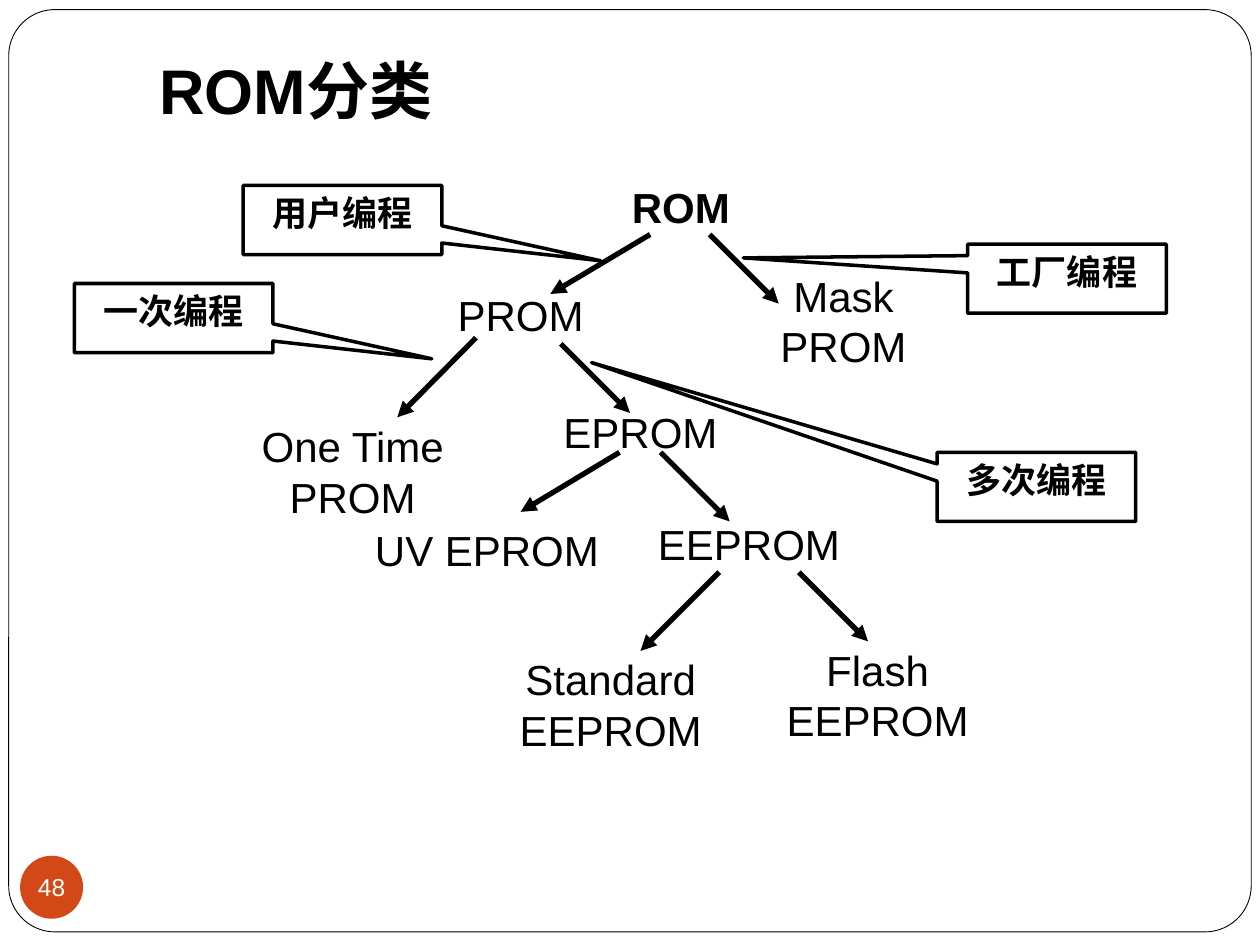
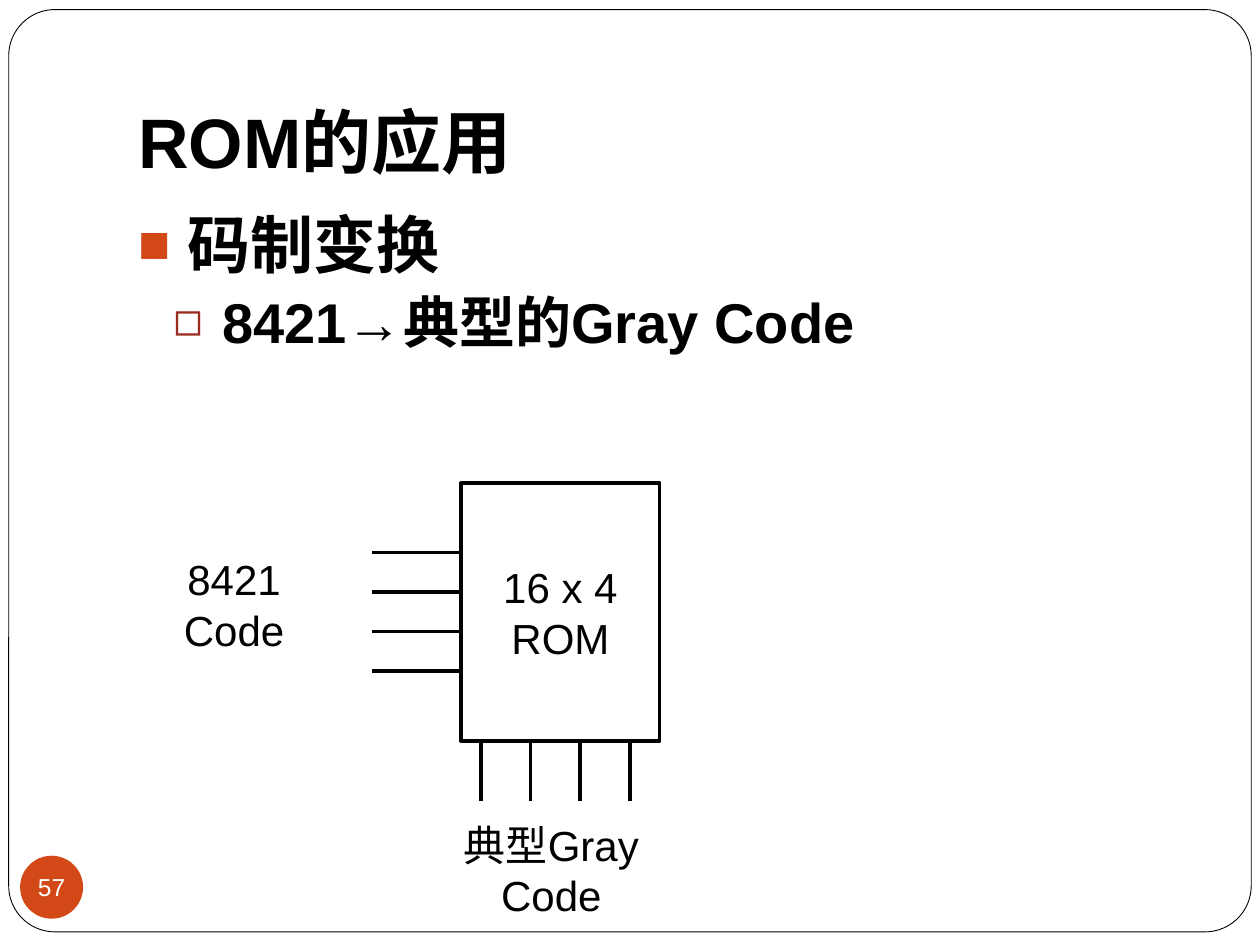
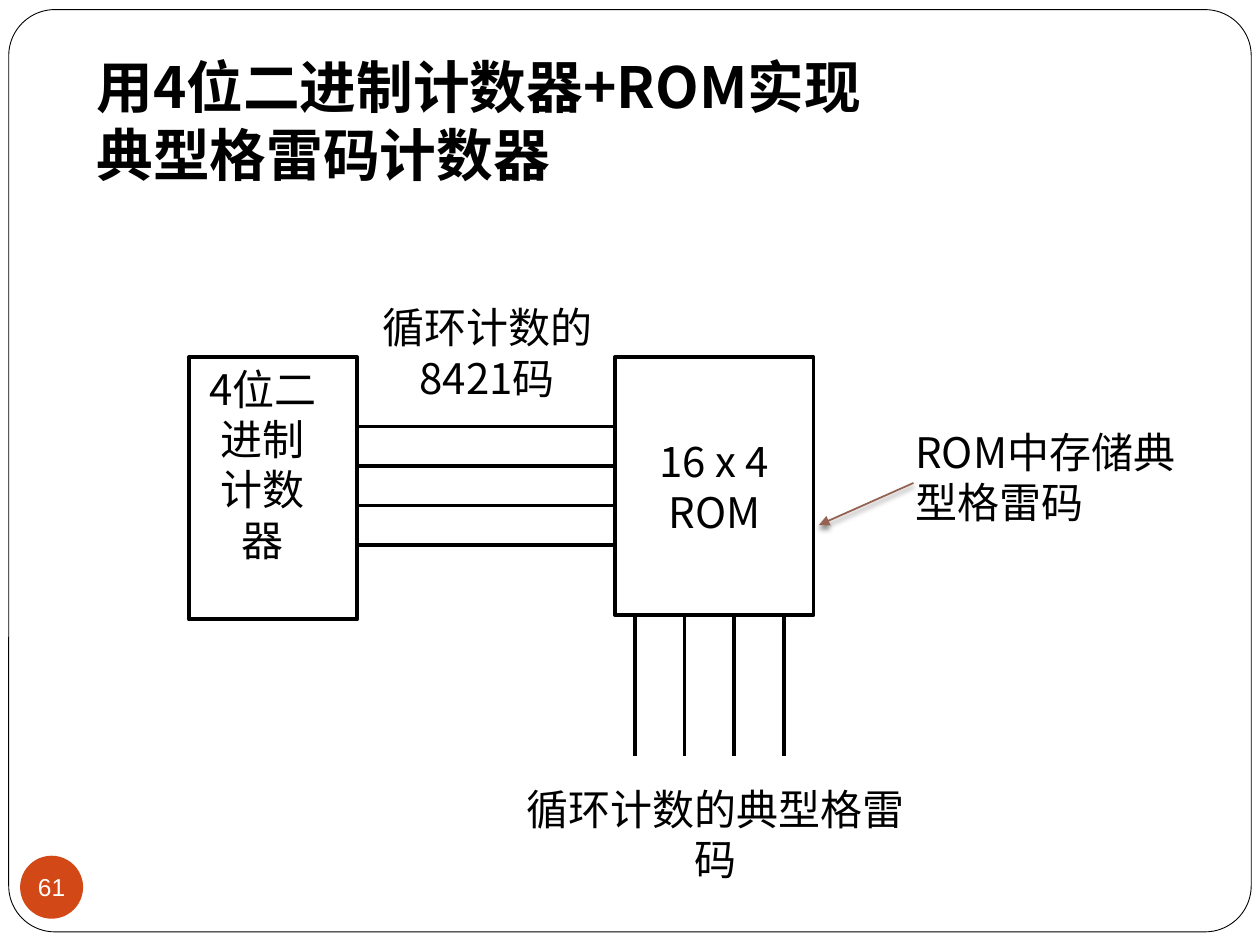
from dataclasses import dataclass
from typing import NamedTuple

from lxml.etree import SubElement as Sub
from pptx import Presentation
from pptx.dml.color import RGBColor
from pptx.enum.shapes import MSO_CONNECTOR as Link, MSO_SHAPE as Kind
from pptx.enum.text import MSO_ANCHOR as Anchor, PP_ALIGN as Align
from pptx.oxml.ns import qn
from pptx.util import Pt

BLACK = RGBColor(0x00, 0x00, 0x00)
WHITE = RGBColor(0xFF, 0xFF, 0xFF)
RUST = RGBColor(0xD3, 0x48, 0x17)
BRICK = RGBColor(0x9B, 0x2D, 0x1F)
CLAY = RGBColor(0x95, 0x62, 0x51)

LATIN = "Arial"
HAN = "Noto Sans CJK JP"
LEAD = 1.2
PINS = 4
CHIP_W, CHIP_H = 113.5, 147.5
CALL_W, CALL_H = 113.5, 39.5


class Box(NamedTuple):
    """Left, top, width and height in points."""
    x: float
    y: float
    w: float
    h: float


class Line(NamedTuple):
    """Start and end of a line in points."""
    x1: float
    y1: float
    x2: float
    y2: float


@dataclass(frozen=True)
class Style:
    """Look of a text."""
    size: float = 24
    bold: bool = False
    face: str = LATIN
    color: RGBColor = BLACK
    align: Align = Align.CENTER
    anchor: Anchor = Anchor.TOP
    wrap: bool = True
    inset: tuple = (7.2, 3.6, 7.2, 3.6)


@dataclass(frozen=True)
class Label:
    """Text at a place."""
    text: str
    box: Box
    style: Style = Style()


@dataclass(frozen=True)
class Call:
    """Callout with its pointer."""
    text: str
    x: float
    y: float
    tip: tuple


@dataclass(frozen=True)
class Item:
    """Bullet line of a list."""
    text: str
    size: float
    mark: str
    color: RGBColor
    left: float
    before: float


HEAD = dict(bold=True, align=Align.LEFT)
TITLE = dict(HEAD, anchor=Anchor.BOTTOM, inset=(7.2, 3.6, 7.2, 7.2))
CALL = Style(20, bold=True)
BADGE = Style(14, color=WHITE, anchor=Anchor.MIDDLE, wrap=False, inset=(0, 0, 0, 0))
HANZI = Style(face=HAN)

TREE = [
    Label("ROM分类", Box(84, 26, 594, 454), Style(36, **HEAD)),
    Label("ROM", Box(292.5, 100, 193, 36), Style(bold=True)),
    Label("PROM", Box(229.5, 162, 136, 36)),
    Label("Mask PROM", Box(422.5, 151, 119, 65.5)),
    Label("EPROM", Box(298, 228.5, 136, 36)),
    Label("UV EPROM", Box(201.5, 296, 153.5, 36)),
    Label("EEPROM", Box(360, 292.5, 136, 36)),
    Label("Flash EEPROM", Box(433.5, 364.5, 136, 65.5)),
    Label("Standard EEPROM", Box(281, 370, 136, 65.5)),
    Label("One Time PROM", Box(141, 237, 121, 65.5)),
]
ARROWS = [
    Line(371.5, 134, 314.5, 168),
    Line(405.5, 134, 445, 173.5),
    Line(272, 193, 227, 238.5),
    Line(320.5, 196.5, 360, 236),
    Line(354, 258.5, 297.5, 292.5),
    Line(377.5, 258.5, 417, 298),
    Line(411, 327, 366, 372),
    Line(456.5, 327, 496, 366.5),
]
CALLS = [
    Call("多次编程", 535.5, 258.5, (-2.24, -1.8)),
    Call("工厂编程", 553, 139.5, (-1.63, -0.3)),
    Call("用户编程", 139, 106, (1.3, 0.59)),
    Call("一次编程", 42.5, 162, (1.3, 0.59)),
]
ITEMS = [
    Item("码制变换", 36, "■", RUST, 28, 0),
    Item("8421→典型的Gray Code", 32, "◻", BRICK, 48, 3.7),
]
CODES = [
    Label("ROM的应用", Box(72, 21.5, 612, 90), Style(40, **TITLE)),
    Label("8421 Code", Box(75, 313, 117.5, 36)),
    Label("典型Gray Code", Box(234, 464.5, 162, 36)),
]
COUNT = [
    Label("用4位二进制计数器+ROM实现\v典型格雷码计数器", Box(48, 24, 642, 90.5),
          Style(32.4, face=HAN, **TITLE)),
    Label("循环计数的8421码", Box(203.5, 169, 150, 65.5), HANZI),
    Label("循环计数的典型格雷码", Box(282, 444, 254, 36), Style(face=HAN, wrap=False)),
    Label("4位二进制计数器", Box(108, 204, 84.5, 124), HANZI),
    Label("ROM中存储典型格雷码", Box(516, 240, 174, 65.5),
          Style(face=HAN, align=Align.LEFT)),
]


def assign(obj, form: dict) -> None:
    """Set each attribute of a dict of format values."""
    for name, value in form.items():
        setattr(obj, name, value)


def ink(para, style: Style) -> None:
    """Format a paragraph and its runs."""
    assign(para, dict(alignment=style.align, line_spacing=Pt(LEAD * style.size)))
    for run in para.runs:
        assign(run.font, dict(size=Pt(style.size), bold=style.bold, name=style.face))
        run.font.color.rgb = style.color
        Sub(run.font._element, qn("a:ea"), typeface=HAN)


def write(shape, text: str, style: Style) -> None:
    """Fill a shape with paragraphs."""
    frame = shape.text_frame
    left, top, right, bottom = map(Pt, style.inset)
    assign(frame, dict(word_wrap=style.wrap, vertical_anchor=style.anchor,
                       margin_left=left, margin_top=top,
                       margin_right=right, margin_bottom=bottom))
    for num, part in enumerate(text.split("\n")):
        para = frame.add_paragraph() if num else frame.paragraphs[0]
        para.text = part
        ink(para, style)


def label(slide, item: Label) -> None:
    """Draw a text box."""
    write(slide.shapes.add_textbox(*map(Pt, item.box)), item.text, item.style)


def block(slide, kind: Kind, box: Box, fill: RGBColor | None = None,
          width: float = 2):
    """Draw a preset shape; zero width means no line."""
    shape = slide.shapes.add_shape(kind, *map(Pt, box))
    shape.shadow.inherit = False
    if fill is None:
        shape.fill.background()
    else:
        shape.fill.solid()
        shape.fill.fore_color.rgb = fill
    if width:
        shape.line.color.rgb = BLACK
        shape.line.width = Pt(width)
    else:
        shape.line.fill.background()
    return shape


def wire(slide, line: Line, width: float = 2, color: RGBColor = BLACK,
         arrow: bool = False, shade: bool = False) -> None:
    """Draw a straight line or arrow."""
    link = slide.shapes.add_connector(Link.STRAIGHT, *map(Pt, line))
    link.line.color.rgb = color
    link.line.width = Pt(width)
    if arrow:
        Sub(link.line._get_or_add_ln(), qn("a:tailEnd"), type="triangle")
    effect = Sub(link._element.spPr, qn("a:effectLst"))
    if shade:
        outer = Sub(effect, qn("a:outerShdw"), blurRad=str(Pt(3)),
                    dist=str(Pt(2)), dir="5400000", rotWithShape="0")
        tone = Sub(outer, qn("a:srgbClr"), val=str(BLACK))
        Sub(tone, qn("a:alpha"), val="50000")


def callout(slide, call: Call) -> None:
    """Draw a callout."""
    shape = block(slide, Kind.RECTANGULAR_CALLOUT, Box(call.x, call.y, CALL_W, CALL_H))
    shape.adjustments[0], shape.adjustments[1] = call.tip
    write(shape, call.text, CALL)


def bullets(slide, box: Box, items: list[Item]) -> None:
    """Draw a bullet list."""
    frame = slide.shapes.add_textbox(*map(Pt, box)).text_frame
    frame.word_wrap = True
    for num, item in enumerate(items):
        para = frame.add_paragraph() if num else frame.paragraphs[0]
        para.text = item.text
        para.level = num
        ink(para, Style(item.size, **HEAD))
        para.space_before = Pt(item.before)
        prop = para._p.get_or_add_pPr()
        prop.set("marL", str(Pt(item.left)))
        prop.set("indent", str(-Pt(28)))
        Sub(Sub(prop, qn("a:buClr")), qn("a:srgbClr"), val=str(item.color))
        Sub(prop, qn("a:buSzPct"), val="85000")
        Sub(prop, qn("a:buFont"), typeface=LATIN)
        Sub(prop, qn("a:buChar"), char=item.mark)


def chip(slide, x: float, y: float, lead: float, drop: float, face: str) -> None:
    """Draw the memory chip with input and output pins."""
    style = Style(face=face, anchor=Anchor.MIDDLE, wrap=False)
    write(block(slide, Kind.RECTANGLE, Box(x, y, CHIP_W, CHIP_H)), "16 x 4\nROM", style)
    foot = y + CHIP_H
    for pin in range(PINS):
        row = y + 39.75 + 22.6 * pin
        col = x + 11.25 + 28.4 * pin
        wire(slide, Line(x - lead, row, x, row))
        wire(slide, Line(col, foot, col, foot + drop))


def page(deck, number: int, labels: list[Label]):
    """Add a slide with frame, number badge and labels."""
    slide = deck.slides.add_slide(deck.slide_layouts[6])
    frame = block(slide, Kind.ROUNDED_RECTANGLE, Box(5, 5.5, 710, 527), WHITE, 0.5)
    frame.adjustments[0] = 0.05
    badge = block(slide, Kind.OVAL, Box(11.5, 489, 36, 36), RUST, 0)
    write(badge, str(number), BADGE)
    for item in labels:
        label(slide, item)
    return slide


def main() -> None:
    """Build the deck."""
    deck = Presentation()
    assign(deck, dict(slide_width=Pt(720), slide_height=Pt(540)))

    slide = page(deck, 48, TREE)
    for line in ARROWS:
        wire(slide, line, 3, arrow=True)
    for call in CALLS:
        callout(slide, call)

    slide = page(deck, 57, CODES)
    bullets(slide, Box(72, 114, 612, 360), ITEMS)
    chip(slide, 263.5, 276, 51, 34, LATIN)

    slide = page(deck, 61, COUNT)
    chip(slide, 351.5, 204, 147.5, 80.5, HAN)
    block(slide, Kind.RECTANGLE, Box(108, 204, 96, 150), width=2.25)
    wire(slide, Line(522, 276, 468, 300), 1, CLAY, arrow=True, shade=True)

    deck.save("out.pptx")


if __name__ == "__main__":
    main()
